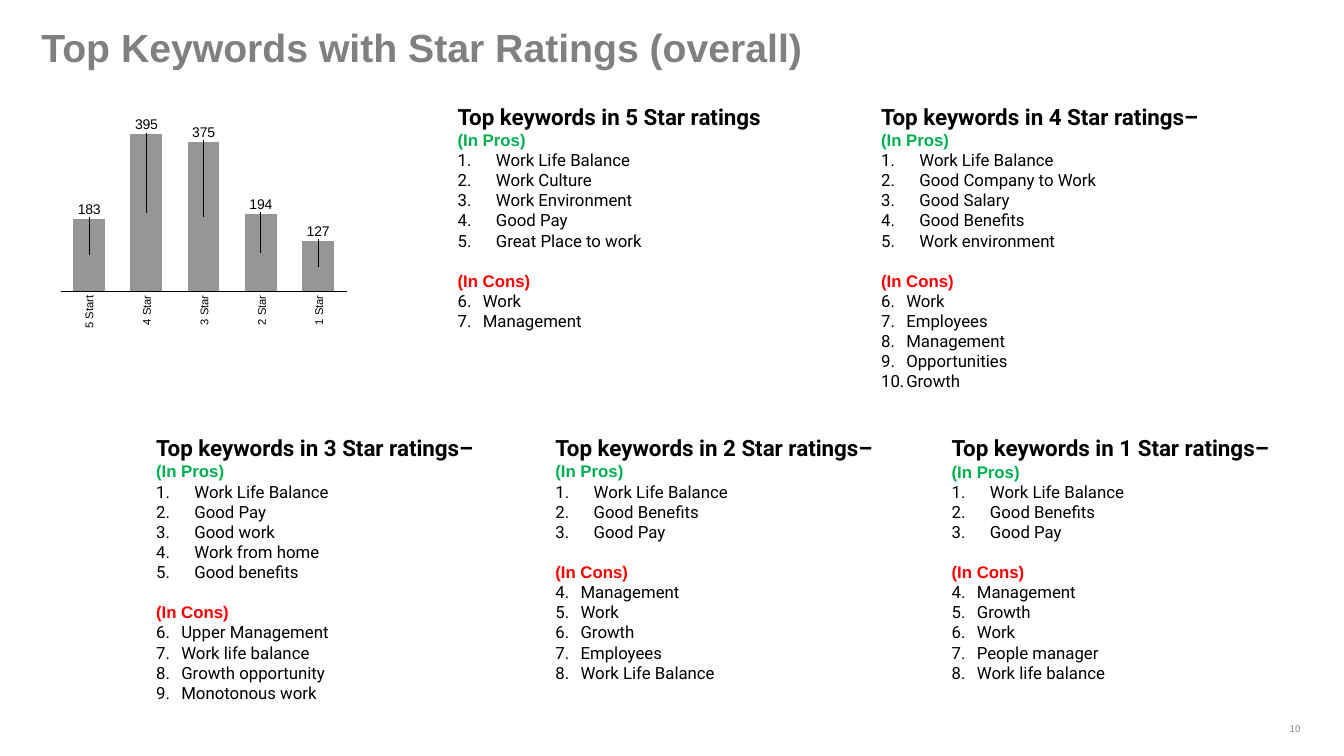
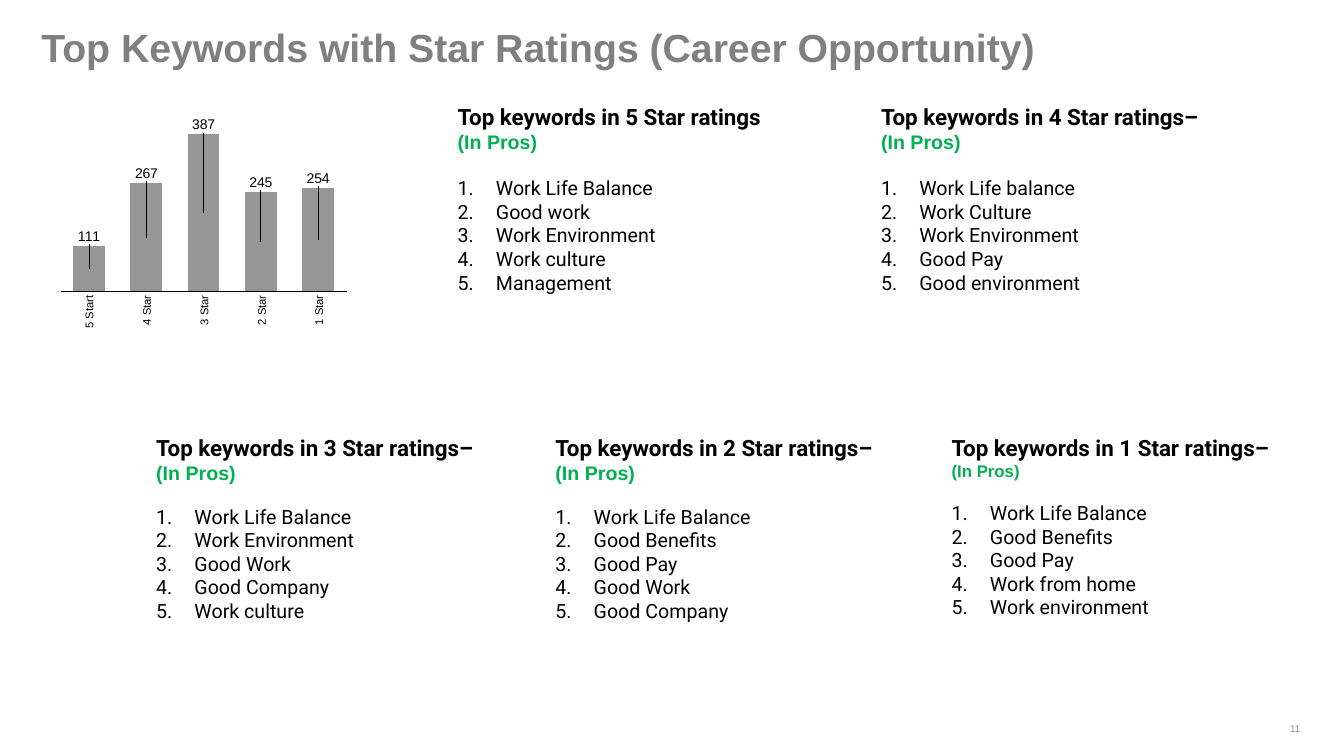
import dataclasses

import pptx
import pptx.chart.data
import pptx.dml.color
import pptx.enum.chart
import pptx.enum.text
import pptx.oxml
import pptx.oxml.ns
import pptx.util
from lxml import etree

Inches = pptx.util.Inches
Pt = pptx.util.Pt
qn = pptx.oxml.ns.qn
Align = pptx.enum.text.PP_ALIGN


@dataclasses.dataclass(frozen=True)
class Theme:
    sans: str = "Arial"
    body: str = "Roboto"
    title: str = "808080"
    number: str = "8C8C8C"
    ink: str = "000000"
    pros: str = "00B050"
    cons: str = "FF0000"
    bar: str = "969696"
    title_size: int = 28
    heading_size: int = 16
    large_size: int = 14
    small_size: int = 12
    label_size: int = 10
    category_size: int = 8
    number_size: int = 7
    line_factor: float = 1.18


THEME = Theme()
CATEGORIES = ["5 Start", "4 Star", "3 Star", "2 Star", "1 Star"]
CHART_BOX = (0.51, 1.15, 3.02, 1.83)
PLOT = {"x": 0.03, "y": 0.1, "w": 0.94, "h": 0.851}
LABEL_RISE = 0.05
CATEGORY_LEFT, CATEGORY_STEP = 0.83, 0.57
PANEL_WIDTH = 3.55
PANEL_SPOTS = {5: (4.44, 0.97), 4: (8.64, 0.97), 3: (1.45, 4.26), 2: (5.41, 4.26), 1: (9.34, 4.26)}


@dataclasses.dataclass(frozen=True)
class Panel:
    height: float
    pros: list
    cons: list = dataclasses.field(default_factory=list)
    pros_size: int = THEME.small_size
    item_size: int = THEME.small_size
    gap: int = 0


class Deck:
    def __init__(self, theme):
        self.theme = theme
        self.prs = pptx.Presentation()
        self.prs.slide_width, self.prs.slide_height = Inches(13.33), Inches(7.5)
        self.slide = None

    def new_slide(self, title, number):
        t = self.theme
        self.slide = self.prs.slides.add_slide(self.prs.slide_layouts[6])
        heading = self.text_frame(0.41, 0.23, 12.42, 0.48)
        heading.margin_left = 0
        line = heading.paragraphs[0]
        line.line_spacing = 0.9
        self.run(line, title, t.title_size, t.title, bold=True)
        line = self.text_frame(12.35, 7.12, 0.99, 0.38).paragraphs[0]
        line.alignment = Align.CENTER
        self.run(line, str(number), t.number_size, t.number)

    def text_frame(self, left, top, width, height):
        box = self.slide.shapes.add_textbox(Inches(left), Inches(top), Inches(width), Inches(height))
        box.text_frame.word_wrap = True
        return box.text_frame

    def run(self, paragraph, text, size, color, font=None, bold=False):
        run = paragraph.add_run()
        run.text = text
        run.font.size = Pt(size)
        run.font.name = font or self.theme.sans
        run.font.bold = bold
        run.font.color.rgb = pptx.dml.color.RGBColor.from_string(color)

    def numbered(self, frame, items, size, indent, start, gap=0):
        for number, item in enumerate(items, start):
            line = frame.add_paragraph()
            if number == start and gap:
                line.space_before = Pt(gap * self.theme.line_factor)
            props = line._p.get_or_add_pPr()
            props.set("marL", str(Inches(indent)))
            props.set("indent", str(-Inches(indent)))
            etree.SubElement(props, qn("a:buFont"), typeface="+mj-lt")
            etree.SubElement(props, qn("a:buAutoNum"), type="arabicPeriod", startAt=str(start))
            self.run(line, item, size, self.theme.ink, self.theme.body)

    def keyword_panel(self, stars, panel):
        t = self.theme
        frame = self.text_frame(*PANEL_SPOTS[stars], PANEL_WIDTH, panel.height)
        frame.auto_size = pptx.enum.text.MSO_AUTO_SIZE.SHAPE_TO_FIT_TEXT
        dash = "" if stars == 5 else "–"
        self.run(frame.paragraphs[0], f"Top keywords in {stars} Star ratings{dash}",
                 t.heading_size, t.ink, t.body, True)
        self.run(frame.add_paragraph(), "(In Pros)", panel.pros_size, t.pros, bold=True)
        self.numbered(frame, panel.pros, panel.item_size, 0.38, 1, panel.gap)
        if panel.cons:
            line = frame.add_paragraph()
            line.space_before = Pt(t.small_size * t.line_factor)
            self.run(line, "(In Cons)", t.small_size, t.cons, bold=True)
            self.numbered(frame, panel.cons, panel.item_size, 0.25, len(panel.pros) + 1)

    def manual_layout(self, **values):
        layout = pptx.oxml.parse_xml(f"<c:layout {pptx.oxml.ns.nsdecls('c')}><c:manualLayout/></c:layout>")
        for tag, value in values.items():
            etree.SubElement(layout[0], qn(f"c:{tag}"), val=str(value))
        return layout

    def ratings_chart(self, counts):
        t = self.theme
        kinds = pptx.enum.chart
        rgb = pptx.dml.color.RGBColor.from_string
        data = pptx.chart.data.CategoryChartData()
        data.categories = CATEGORIES
        data.add_series("Series 1", counts)
        chart = self.slide.shapes.add_chart(
            kinds.XL_CHART_TYPE.COLUMN_STACKED, *map(Inches, CHART_BOX), data).chart
        chart.has_legend = chart.has_title = False
        chart.font.size = Pt(t.label_size)
        chart.font.name = t.sans
        chart.font.color.rgb = rgb(t.ink)

        stars = chart.category_axis
        stars.tick_label_position = kinds.XL_TICK_LABEL_POSITION.NONE
        stars.major_tick_mark = stars.minor_tick_mark = kinds.XL_TICK_MARK.NONE
        stars.format.line.color.rgb = rgb(t.ink)
        stars.format.line.width = Pt(0.75)
        reviews = chart.value_axis
        reviews.visible = reviews.has_major_gridlines = False
        reviews.minimum_scale, reviews.maximum_scale = 0, max(counts)

        bars = chart.plots[0]
        bars.gap_width, bars.overlap, bars.vary_by_categories = 80, 100, False
        series = bars.series[0]
        series.format.fill.solid()
        series.format.fill.fore_color.rgb = rgb(t.bar)
        for index in range(len(counts)):
            series.points[index].data_label.position = kinds.XL_LABEL_POSITION.CENTER
        for count, label in zip(counts, chart.element.xpath(".//c:dLbl")):
            rise = PLOT["h"] * count / max(counts) / 2 + LABEL_RISE
            label.insert(1, self.manual_layout(x=0, y=round(-rise, 4)))

        area = chart.element.xpath(".//c:plotArea")[0]
        for layout in area.findall(qn("c:layout")):
            area.remove(layout)
        area.insert(0, self.manual_layout(layoutTarget="inner", xMode="edge", yMode="edge", **PLOT))

        for index, category in enumerate(CATEGORIES):
            self.category_label(category, CATEGORY_LEFT + index * CATEGORY_STEP)

    def category_label(self, category, left):
        frame = self.text_frame(left, 2.93, 0.12, 0.33 if category == "5 Start" else 0.3)
        frame.word_wrap = False
        frame.margin_left = frame.margin_right = frame.margin_top = frame.margin_bottom = 0
        frame.vertical_anchor = pptx.enum.text.MSO_ANCHOR.MIDDLE
        frame._txBody.bodyPr.set("vert", "vert270")
        line = frame.paragraphs[0]
        line.alignment = Align.RIGHT
        line.line_spacing = 0.9
        self.run(line, category, self.theme.category_size, self.theme.ink)


def career_panel(height, pros, gap=THEME.small_size, pros_size=THEME.large_size):
    return Panel(height, pros, pros_size=pros_size, item_size=THEME.large_size, gap=gap)


OVERALL = {
    5: Panel(2.46, ["Work Life Balance", "Work Culture", "Work Environment", "Good Pay",
                    "Great Place to work"],
             ["Work", "Management"]),
    4: Panel(3.2, ["Work Life Balance", "Good Company to Work", "Good Salary", "Good Benefits",
                   "Work environment"],
             ["Work", "Employees", "Management", "Opportunities", "Growth"]),
    3: Panel(3.2, ["Work Life Balance", "Good Pay", "Good work", "Work from home", "Good benefits"],
             ["Upper Management", "Work life balance", "Growth opportunity", "Monotonous work"]),
    2: Panel(3, ["Work Life Balance", "Good Benefits", "Good Pay"],
             ["Management", "Work", "Growth", "Employees", "Work Life Balance"]),
    1: Panel(2.59, ["Work Life Balance", "Good Benefits", "Good Pay"],
             ["Management", "Growth", "Work", "People manager", "Work life balance"]),
}
CAREER = {
    5: career_panel(2.22, ["Work Life Balance", "Good work", "Work Environment", "Work culture",
                           "Management"], gap=THEME.large_size),
    4: career_panel(2.42, ["Work Life balance", "Work Culture", "Work Environment", "Good Pay",
                           "Good environment"], gap=THEME.large_size),
    3: career_panel(2.19, ["Work Life Balance", "Work Environment", "Good Work", "Good Company",
                           "Work culture"]),
    2: career_panel(2.59, ["Work Life Balance", "Good Benefits", "Good Pay", "Good Work",
                           "Good Company"]),
    1: career_panel(2.36, ["Work Life Balance", "Good Benefits", "Good Pay", "Work from home",
                           "Work environment"], pros_size=THEME.small_size),
}
SLIDES = [
    ("overall", 10, [183, 395, 375, 194, 127], OVERALL),
    ("Career Opportunity", 11, [111, 267, 387, 245, 254], CAREER),
]


def main():
    deck = Deck(THEME)
    for topic, number, counts, panels in SLIDES:
        deck.new_slide(f"Top Keywords with Star Ratings ({topic})", number)
        deck.ratings_chart(counts)
        for stars, panel in panels.items():
            deck.keyword_panel(stars, panel)
    deck.prs.save("out.pptx")


if __name__ == "__main__":
    main()
